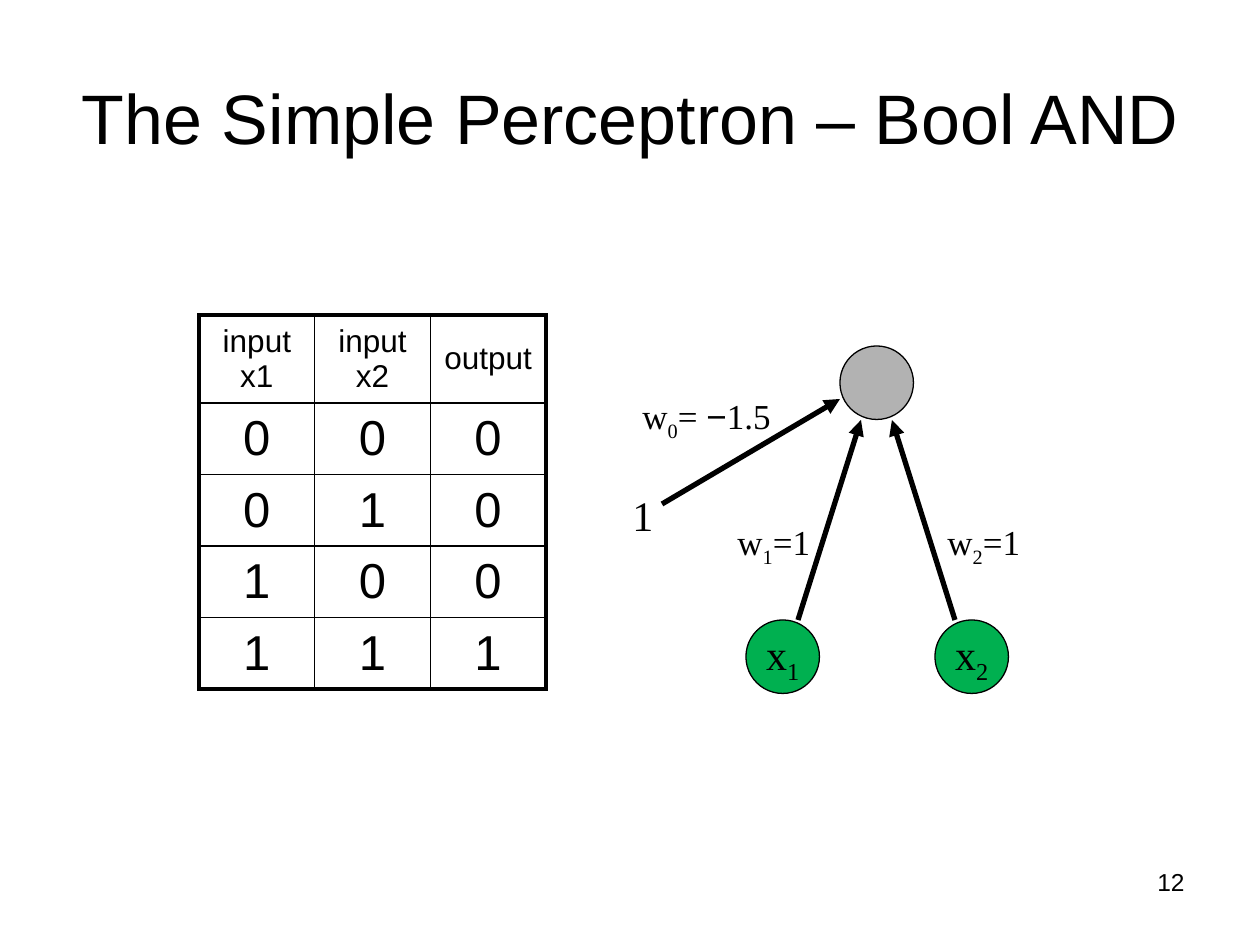
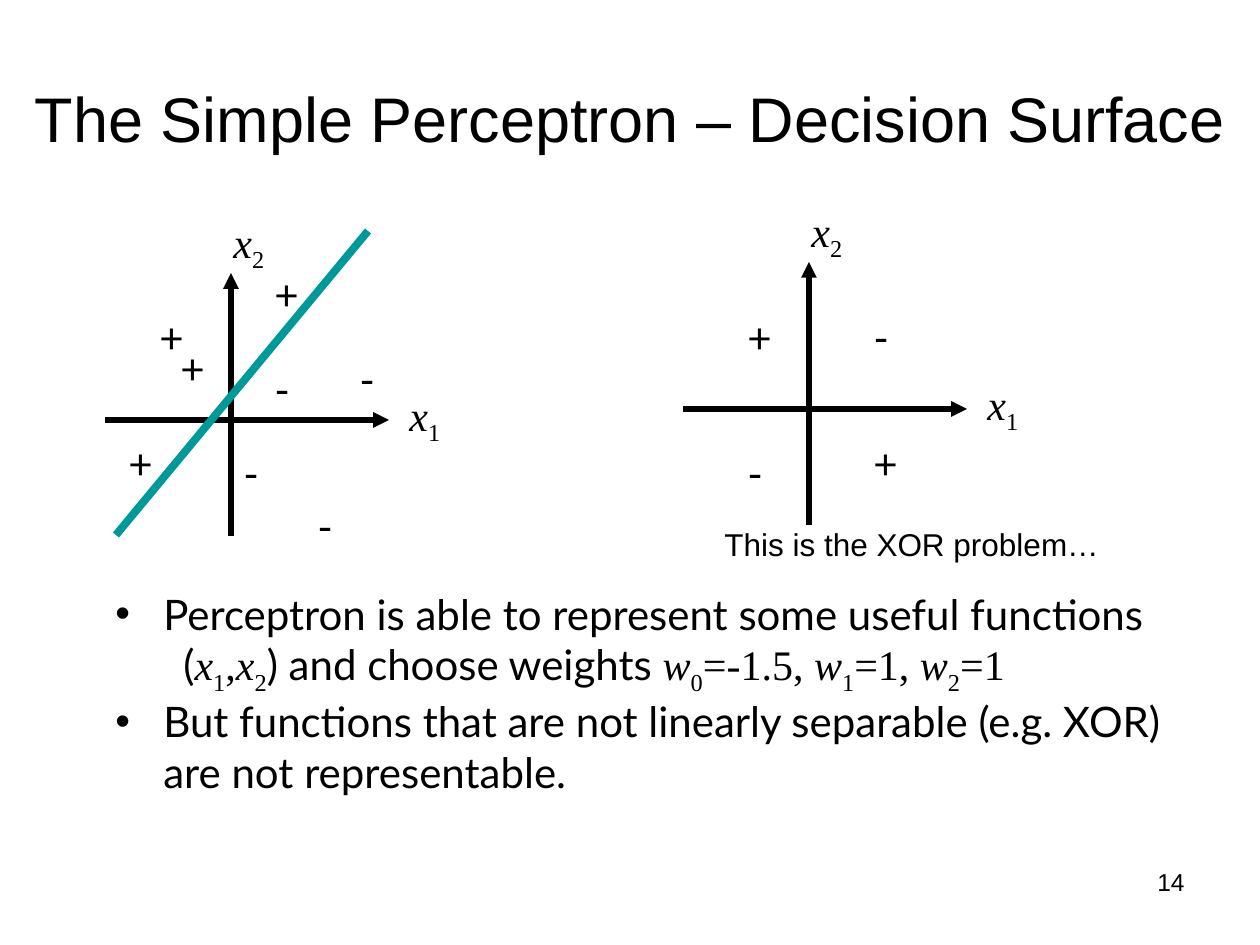
"""Builds two slides on the simple perceptron: Boolean AND and the decision surface."""
import pptx
import pptx.dml.color
import pptx.enum.shapes
import pptx.enum.text
import pptx.oxml
import pptx.oxml.ns
import pptx.util

EMU_PER_PIXEL = 914400 / 126
BLACK, GREEN, GREY, TEAL = "000000", "00B050", "B2B2B2", "009999"
SANS, BODY, SERIF = "Arial", "Lato", "Times New Roman"
ALIGN = pptx.enum.text.PP_ALIGN
MIDDLE = pptx.enum.text.MSO_ANCHOR.MIDDLE
FIT = pptx.enum.text.MSO_AUTO_SIZE
LABEL_FRAME = {"word_wrap": False, "auto_size": FIT.SHAPE_TO_FIT_TEXT}
BODY_FRAME = {"word_wrap": True, "auto_size": FIT.NONE}
CENTRED_FRAME = {"word_wrap": False, "vertical_anchor": MIDDLE}
TITLE_FRAME = {"word_wrap": True, "auto_size": FIT.NONE, "vertical_anchor": MIDDLE}


def px(length):
    """Turn pixels into EMU."""
    return pptx.util.Emu(round(length * EMU_PER_PIXEL))


def colour(hex_string):
    """Turn a hex string into a colour."""
    return pptx.dml.color.RGBColor.from_string(hex_string)


def apply(target, values):
    """Set every attribute in a dict of format values."""
    for attribute, value in values.items():
        setattr(target, attribute, value)


def add_xml(parent, tag, **attributes):
    """Append a DrawingML child element and return it."""
    child = pptx.oxml.parse_xml(f"<a:{tag} {pptx.oxml.ns.nsdecls('a')}/>")
    for key, value in attributes.items():
        child.set(key, str(value))
    parent.append(child)
    return child


def write(paragraph, runs, size, font, align=ALIGN.LEFT):
    """Fill a paragraph with (text, style, font) runs; style is '', 'italic' or 'sub'."""
    paragraph.alignment = align
    for text, style, own_font in runs:
        run = paragraph.add_run()
        run.text = text
        apply(run.font, {"size": pptx.util.Pt(size), "name": own_font or font})
        run.font.color.rgb = colour(BLACK)
        if style == "italic":
            run.font.italic = True
        if style == "sub":
            run.font._element.set("baseline", "-25000")


def plain(text, font=None):
    """Return the run list of unstyled text."""
    return [(text, "", font)]


def symbol(letter, index, style="", rest=""):
    """Return the serif runs of a symbol with a subscript and what follows it."""
    runs = [(letter, style, SERIF), (index, "sub", SERIF)]
    return runs + plain(rest, SERIF) if rest else runs


def add_text(slide, box, runs, size, font, frame=LABEL_FRAME, align=ALIGN.LEFT):
    """Add a one-paragraph text box."""
    text_frame = slide.shapes.add_textbox(*map(px, box)).text_frame
    apply(text_frame, frame)
    write(text_frame.paragraphs[0], runs, size, font, align)


def add_line(slide, start, end, line_colour=BLACK, width=3, arrow=True):
    """Add a straight line, by default with an arrowhead at its end."""
    line = slide.shapes.add_connector(
        pptx.enum.shapes.MSO_CONNECTOR.STRAIGHT, *map(px, (*start, *end)))
    line.line.color.rgb = colour(line_colour)
    line.line.width = pptx.util.Pt(width)
    if arrow:
        add_xml(line.line._get_or_add_ln(), "tailEnd", type="triangle")
    add_xml(line._element.spPr, "effectLst")


def add_neuron(slide, left, top, fill, runs=()):
    """Add a round neuron with an optional symbol."""
    neuron = slide.shapes.add_shape(
        pptx.enum.shapes.MSO_SHAPE.OVAL, *map(px, (left, top, 73.5, 73.5)))
    neuron.shadow.inherit = False
    neuron.fill.solid()
    neuron.fill.fore_color.rgb = colour(fill)
    neuron.line.color.rgb = colour(BLACK)
    neuron.line.width = pptx.util.Pt(0.75)
    apply(neuron.text_frame, CENTRED_FRAME)
    write(neuron.text_frame.paragraphs[0], runs, 24, SERIF, ALIGN.CENTER)


def add_slide(deck, title, number, title_box, title_size):
    """Add a title-only slide with its title and page number."""
    slide = deck.slides.add_slide(deck.slide_layouts[5])
    heading = slide.shapes.title
    apply(heading, dict(zip(("left", "top", "width", "height"), map(px, title_box))))
    apply(heading.text_frame, TITLE_FRAME)
    write(heading.text_frame.paragraphs[0], plain(title), title_size, SANS, ALIGN.CENTER)
    add_text(slide, (903, 861, 294, 66), plain(number), 14, SANS, BODY_FRAME, ALIGN.RIGHT)
    return slide


def add_truth_table(slide, box, rows, header_height):
    """Add a truth table with a thick frame and thin inner lines."""
    last_row, last_column = len(rows) - 1, len(rows[0]) - 1
    table = slide.shapes.add_table(len(rows), len(rows[0]), *map(px, box)).table
    apply(table, {"first_row": False, "horz_banding": False})
    for column in table.columns:
        column.width = px(box[2] / len(rows[0]))
    for r, values in enumerate(rows):
        table.rows[r].height = px(
            (box[3] - header_height) / last_row if r else header_height)
        for c, value in enumerate(values):
            cell = table.cell(r, c)
            cell.vertical_anchor = MIDDLE
            write(cell.text_frame.paragraphs[0], plain(value), 28 if r else 18,
                  SANS, ALIGN.CENTER)
            edges = {"lnL": c == 0, "lnR": c == last_column,
                     "lnT": r == 0, "lnB": r == last_row}
            for edge, outer in edges.items():
                border = add_xml(cell._tc.get_or_add_tcPr(), edge,
                                 w=pptx.util.Pt(2.25 if outer else 1))
                add_xml(add_xml(border, "solidFill"), "srgbClr", val=BLACK)
            cell.fill.background()


def add_network(slide, left, top):
    """Add the perceptron with two inputs, a bias and its weights."""
    def at(x, y):
        return left + x, top + y

    add_neuron(slide, *at(220, 0), GREY)
    inputs = (("1", 126, (178, 274), (241, 74), 105),
              ("2", 315, (335, 274), (272, 74), 315))
    for index, neuron_x, start, end, weight_x in inputs:
        add_neuron(slide, *at(neuron_x, 274), GREEN, symbol("x", index))
        add_line(slide, at(*start), at(*end))
        add_text(slide, (*at(weight_x, 168), 100, 54),
                 symbol("w", index, rest="=1"), 20, SERIF)
    bias = symbol("w", "0", rest="= ") + plain("\u2212", SANS) + plain("1.5")
    add_text(slide, (*at(10, 42), 154, 54), bias, 20, SERIF)
    add_line(slide, at(42, 158), at(220, 53))
    add_text(slide, (*at(0, 137), 47, 63), plain("1"), 24, SERIF)


def add_plot(slide, left, top, signs, boundary=None):
    """Add a pair of axes with signed points and an optional boundary line."""
    def at(x, y):
        return left + x, top + y

    add_line(slide, at(126, 263), at(126, 0))
    add_line(slide, at(0, 147), at(284, 147))
    for sign, points in signs.items():
        for point in points:
            add_text(slide, (*at(*point), 55 if sign == "+" else 40, 63),
                     plain(sign), 24, BODY)
    for index, point in (("1", (292, 110)), ("2", (116, -63))):
        add_text(slide, (*at(*point), 58, 64), symbol("x", index, "italic"), 24, SERIF)
    if boundary:
        start, end = boundary
        add_line(slide, at(*start), at(*end), TEAL, 4.5, arrow=False)


def add_bullets(slide, box, items):
    """Add paragraphs given as (has bullet, left indent, runs)."""
    frame = slide.shapes.add_textbox(*map(px, box)).text_frame
    apply(frame, BODY_FRAME)
    for number, (bulleted, indent, runs) in enumerate(items):
        paragraph = frame.add_paragraph() if number else frame.paragraphs[0]
        write(paragraph, runs, 24, BODY)
        properties = paragraph._p.get_or_add_pPr()
        properties.set("marL", str(px(indent)))
        properties.set("indent", str(px(-indent if bulleted else 0)))
        if bulleted:
            add_xml(add_xml(properties, "buClr"), "srgbClr", val=BLACK)
            add_xml(properties, "buFont", typeface=SANS)
            add_xml(properties, "buChar", char="\u2022")
        else:
            add_xml(properties, "buNone")


def build_and_slide(deck):
    """Build the slide on Boolean AND."""
    slide = add_slide(deck, "The Simple Perceptron \u2013 Bool AND", "12",
                      (63, 38, 1134, 158), 40)
    cases = [(str(a), str(b), str(a & b)) for a in (0, 1) for b in (0, 1)]
    add_truth_table(slide, (199, 315, 347, 374),
                    [("input x1", "input x2", "output"), *cases], 88)
    add_network(slide, 620, 346)


def build_surface_slide(deck):
    """Build the slide on the decision surface."""
    slide = add_slide(deck, "The Simple Perceptron \u2013 Decision Surface", "14",
                      (0, 38, 1260, 158), 36)
    add_plot(slide, 105, 273,
             {"+": ((157, -11), (63, 63), (42, 32), (11, 158)),
              "-": ((126, 168), (157, 84), (200, 221), (242, 74))},
             ((11, 262), (263, -42)))
    add_plot(slide, 683, 262,
             {"+": ((52, 43), (178, 169)), "-": ((52, 179), (178, 43))})
    weights = [run for index, rest in (("0", "=-1.5, "), ("1", "=1, "), ("2", "=1"))
               for run in symbol("w", index, "italic", rest)]
    choice = (plain("(") + symbol("x", "1", "italic", ",") + symbol("x", "2", "italic")
              + plain(") and choose weights ") + weights)
    add_bullets(slide, (103, 582, 1137, 217), (
        (True, 48, plain("Perceptron is able to represent some useful functions")),
        (False, 68, choice),
        (True, 48, plain("But functions that are not linearly separable (e.g. XOR) "
                         "are not representable."))))
    add_text(slide, (712, 519, 420, 50), plain("This is the XOR problem\u2026"),
             18, SANS, BODY_FRAME)


def main():
    """Build and save the deck."""
    deck = pptx.Presentation()
    apply(deck, {"slide_width": px(1260), "slide_height": px(945)})
    build_and_slide(deck)
    build_surface_slide(deck)
    deck.save("out.pptx")


main()
